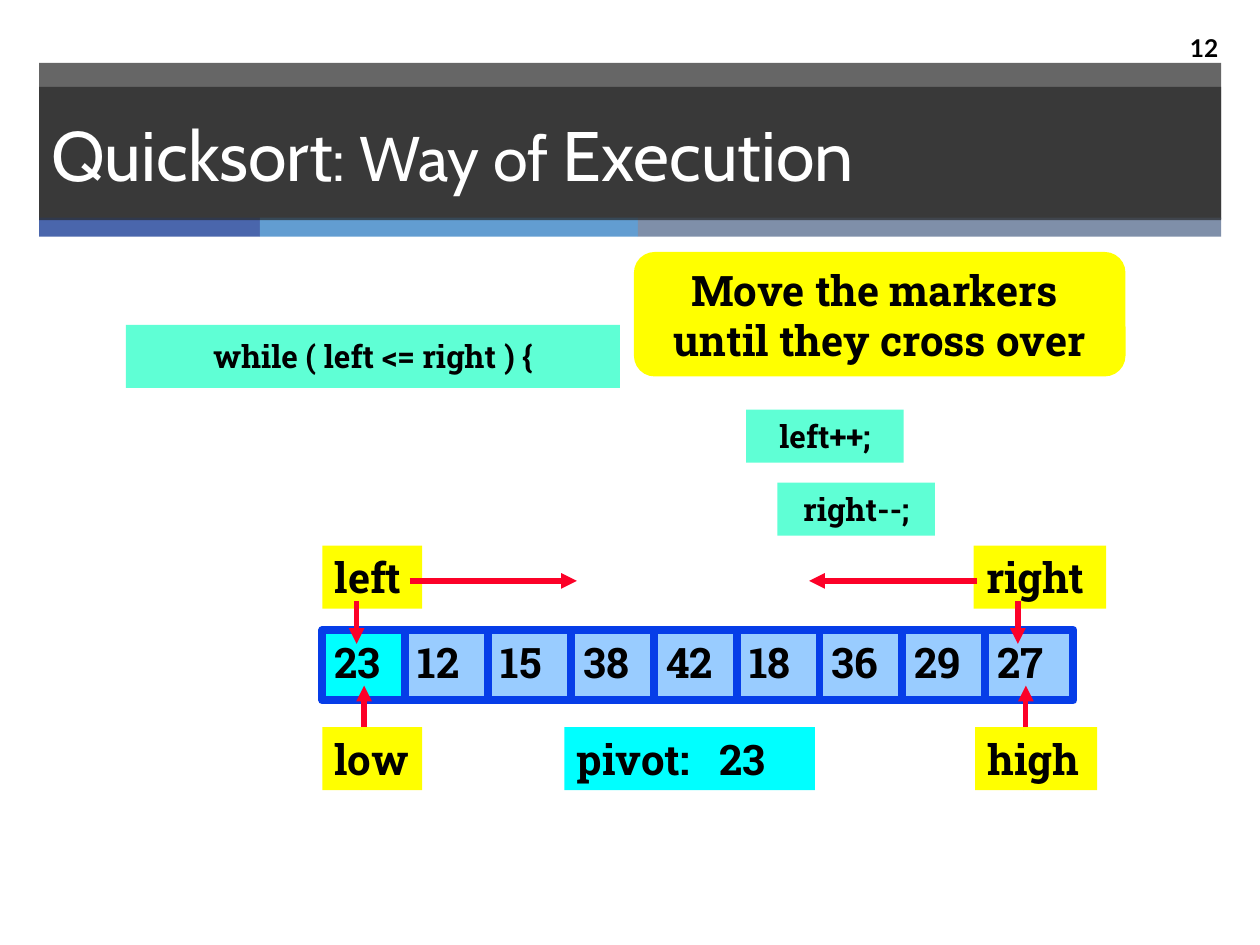
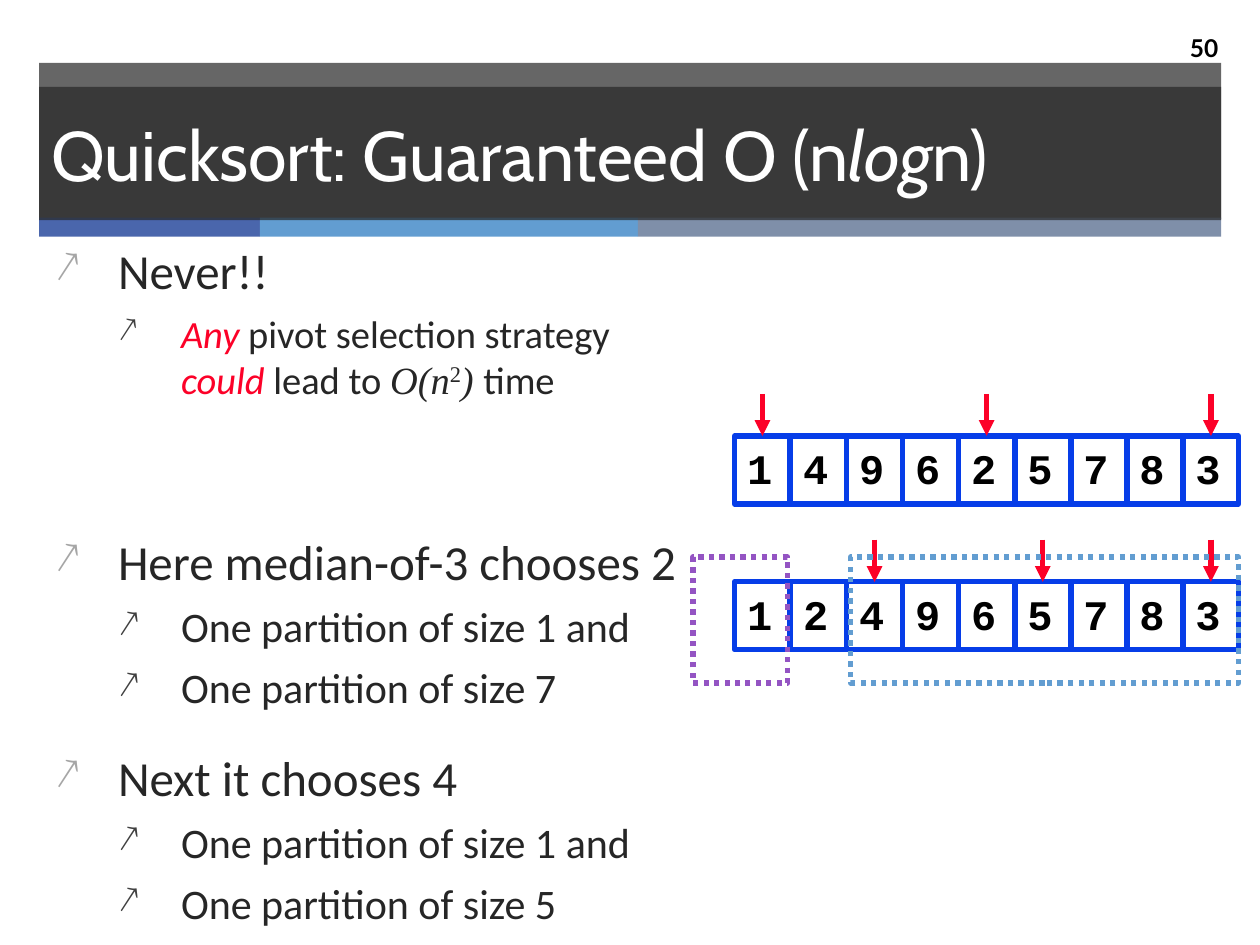
import pptx
import pptx.dml.color
import pptx.enum.dml
import pptx.enum.shapes
import pptx.enum.text
import pptx.oxml
import pptx.oxml.ns
import pptx.util

Cm = pptx.util.Cm
Pt = pptx.util.Pt
SHAPE = pptx.enum.shapes.MSO_SHAPE
ALIGN = pptx.enum.text.PP_ALIGN
ANCHOR = pptx.enum.text.MSO_ANCHOR

COLORS = {
    "white": "FFFFFF", "black": "000000", "band": "262626",
    "royal": "4A66AC", "sky": "629DD1", "slate": "7F8FA9",
    "code": "5FFFD5", "label": "FFFF00", "pivot": "00FFFF", "cell": "99CCFF",
    "border": "063DE8", "red": "FC0128", "purple": "9454C3",
    "bullet": "A6A6A6", "sub_bullet": "404040",
}
SLAB, TIMES = "Roboto Slab", "Times New Roman"


def rgb(color):
    """Return the named colour as an RGB value."""
    return pptx.dml.color.RGBColor.from_string(COLORS[color])


def add_xml(parent, tag, **attributes):
    """Append a drawing element with the given attributes to parent."""
    child = pptx.oxml.parse_xml(f"<a:{tag} {pptx.oxml.ns.nsdecls('a')}/>")
    for key, value in attributes.items():
        child.set(key, str(value))
    parent.append(child)
    return child


def style_font(font, name=None, size=None, color=None, bold=None, italic=None):
    """Set those font properties that are given."""
    if name:
        font.name = name
    if size:
        font.size = Pt(size)
    if color:
        font.color.rgb = rgb(color)
    if bold is not None:
        font.bold = bold
    if italic is not None:
        font.italic = italic


def add_spans(para, spans):
    """Add (text, overrides) spans to a paragraph; a None text breaks the line."""
    for text, overrides in spans:
        if text is None:
            para.add_line_break()
            continue
        span = para.add_run()
        span.text = text
        changes = dict(overrides)
        baseline = changes.pop("baseline", None)
        style_font(span.font, **changes)
        if baseline:
            span.font._element.set("baseline", str(baseline))


def add_box(page, place, fill=None, line=None, width=3, shape=SHAPE.RECTANGLE, opacity=None):
    """Add a flat shape at place (left, top, width, height in cm)."""
    box = page.shapes.add_shape(shape, *map(Cm, place))
    box.shadow.inherit = False
    if fill:
        box.fill.solid()
        box.fill.fore_color.rgb = rgb(fill)
    else:
        box.fill.background()
    if opacity:
        color = box._element.spPr.find(".//" + pptx.oxml.ns.qn("a:srgbClr"))
        add_xml(color, "alpha", val=opacity * 1000)
    if line:
        box.line.color.rgb = rgb(line)
        box.line.width = Pt(width)
    else:
        box.line.fill.background()
    return box


def write(box, lines, font=SLAB, size=24, align=ALIGN.LEFT, anchor=ANCHOR.TOP, grow=True):
    """Write bold black lines into a box without wrapping."""
    frame = box.text_frame
    frame.word_wrap = False
    frame.vertical_anchor = anchor
    if grow:
        frame.auto_size = pptx.enum.text.MSO_AUTO_SIZE.SHAPE_TO_FIT_TEXT
    for index, text in enumerate(lines):
        para = frame.add_paragraph() if index else frame.paragraphs[0]
        para.alignment = align
        add_spans(para, [(text, {})])
        style_font(para.font, font, size, "black", True)


def add_code(page, place, text):
    """Add a line of code on a green block."""
    write(add_box(page, place, "code"), [text], size=18, align=ALIGN.CENTER,
          anchor=ANCHOR.MIDDLE, grow=False)


def add_label(page, left, top, width, text, fill="label"):
    """Add a coloured label for a marker or value."""
    box = add_box(page, (left, top, width, 1.27), fill)
    write(box, [text])
    return box


def add_cells(page, left, top, pitch, size, values, fills, line_width, font):
    """Add a row of array cells and return them."""
    cells = []
    for index, (value, fill) in enumerate(zip(values, fills)):
        cell = add_box(page, (left + index * pitch, top, *size), fill, "border", line_width)
        write(cell, [str(value)], font)
        cells.append(cell)
    return cells


def add_arrow(page, start, end):
    """Add a red arrow between two points given as lengths."""
    arrow = page.shapes.add_connector(pptx.enum.shapes.MSO_CONNECTOR.STRAIGHT, *start, *end)
    arrow.line.color.rgb = rgb("red")
    arrow.line.width = Pt(3)
    add_xml(arrow.line._get_or_add_ln(), "tailEnd", type="triangle")
    add_xml(arrow._element.spPr, "effectLst")
    return arrow


def point_at(page, cell):
    """Add an arrow that drops onto the top of a cell."""
    middle = cell.left + cell.width // 2
    arrow = add_arrow(page, (middle, cell.top - Cm(0.85)), (middle, cell.top))
    arrow.end_connect(cell, 0)


def add_page(deck, number, title_spans):
    """Add a page with its bands, number and title."""
    page = deck.slides.add_slide(deck.slide_layouts[6])
    add_box(page, (0.79, 1.27, 23.83, 3.15), "band", opacity=70)
    left = 0.79
    for width, color in ((4.45, "royal"), (7.62, "sky"), (11.76, "slate")):
        add_box(page, (left, 4.39, width, 0.38), color)
        left += width

    number_box = page.shapes.add_textbox(Cm(23.06), Cm(0.46), Cm(1.75), Cm(0.99))
    number_box.text_frame.word_wrap = True
    number_box.text_frame.vertical_anchor = ANCHOR.MIDDLE
    para = number_box.text_frame.paragraphs[0]
    para.alignment = ALIGN.RIGHT
    add_spans(para, [(str(number), {})])
    style_font(para.font, "Lato", 14, "black", True)

    title = add_box(page, (0.79, 1.75, 23.83, 2.69), "band", opacity=70)
    para = title.text_frame.paragraphs[0]
    para.alignment = ALIGN.LEFT
    add_spans(para, title_spans)
    style_font(para.font, "Cabin", 40, "white")
    return page


def add_bullets(page, place, items):
    """Add a bulleted list from (level, space before, size, spans) items."""
    frame = page.shapes.add_textbox(*map(Cm, place)).text_frame
    frame.word_wrap = True
    for index, (level, space, size, spans) in enumerate(items):
        para = frame.add_paragraph() if index else frame.paragraphs[0]
        para.level = level
        para.space_before = Pt(space)
        properties = para._p.get_or_add_pPr()
        properties.set("marL", str(Cm(1.27 * (level + 1))))
        properties.set("indent", str(Cm(-1.27)))
        color = COLORS["sub_bullet" if level else "bullet"]
        add_xml(add_xml(properties, "buClr"), "srgbClr", val=color)
        add_xml(properties, "buSzPct", val=90000)
        add_xml(properties, "buChar", char="↗")
        add_spans(para, spans)
        style_font(para.font, "Calibri", size, "band")


def build_execution(deck):
    """Build the page on the way of execution."""
    page = add_page(deck, 12, [("Quicksort", {}), (": Way of ", {"size": 36}), ("Execution", {})])
    add_code(page, (15.67, 9.73, 3.18, 1.07), "right--;")
    add_code(page, (15.04, 8.26, 3.18, 1.07), "left++;")
    add_code(page, (2.54, 6.55, 9.96, 1.27), "while ( left <= right ) {")
    callout = add_box(page, (12.78, 5.08, 9.91, 2.51), "label", shape=SHAPE.ROUNDED_RECTANGLE)
    write(callout, ["Move the markers ", "until they cross over"], align=ALIGN.CENTER)

    values = [23, 12, 15, 38, 42, 18, 36, 29, 27]
    fills = ["pivot"] + ["cell"] * (len(values) - 1)
    add_cells(page, 6.5, 12.7, 1.67, (1.78, 1.42), values, fills, 4.5, SLAB)

    for text, left, width, x in (("low", 6.5, 2.01, 7.34), ("high", 19.66, 2.46, 20.68)):
        add_arrow(page, (Cm(x), Cm(15.93)), (Cm(x), Cm(13.82)))
        add_label(page, left, 14.66, width, text)
    pivot = add_label(page, 11.38, 14.66, 5.05, "pivot:\t23", "pivot")
    tabs = pptx.oxml.parse_xml(f"<a:tabLst {pptx.oxml.ns.nsdecls('a')}/>")
    add_xml(tabs, "tab", pos=Cm(2.88), algn="l")
    pivot.text_frame.paragraphs[0]._p.get_or_add_pPr().insert(0, tabs)

    markers = (("left", 6.5, 2.01, 7.19, 8.26, 11.63), ("right", 19.63, 2.67, 20.52, 19.69, 16.31))
    for text, left, width, x, start, end in markers:
        add_label(page, left, 11, width, text)
        add_arrow(page, (Cm(x), Cm(12.12)), (Cm(x), Cm(12.98)))
        add_arrow(page, (Cm(start), Cm(11.71)), (Cm(end), Cm(11.71)))


def build_guarantee(deck):
    """Build the page on the guaranteed running time."""
    page = add_page(deck, 50, [("Quicksort: Guaranteed O (n", {}), ("log", {"italic": True}),
                               ("n)", {})])
    stress = {"color": "red", "italic": True}
    formula = {"name": TIMES, "italic": True}
    strategy = [
        ("Any", stress), (" pivot selection strategy ", {}), (None, {}),
        ("could ", stress), ("lead to ", {}), ("O(n", formula),
        ("2", {"name": TIMES, "baseline": 30000}), (") ", formula), ("time", {}),
    ]
    items = [(0, 20, 28, [("Never!!", {})]), (1, 6, 22, strategy)]
    for space, choice, rest in ((74, "Here median-of-3 chooses 2", 7), (20, "Next it chooses 4", 5)):
        items.append((0, space, 28, [(choice, {})]))
        for ending in ("1 and", rest):
            items.append((1, 6, 24, [(f"One partition of size {ending}", {})]))
    add_bullets(page, (0.86, 4.72, 13.2, 13.23), items)

    rows = ((8.79, "149625783", (0, 4, 8)), (11.73, "124965783", (2, 5, 8)))
    for top, values, candidates in rows:
        cells = add_cells(page, 14.81, top, 1.13, (1.12, 1.37), values, [None] * len(values),
                          3, "Courier New")
        for index in candidates:
            point_at(page, cells[index])

    for left, width, color in ((13.97, 1.91, "purple"), (17.15, 7.82, "sky")):
        partition = add_box(page, (left, 11.23, width, 2.54), line=color)
        partition.line.dash_style = pptx.enum.dml.MSO_LINE.ROUND_DOT


def main():
    """Build and save the deck."""
    deck = pptx.Presentation()
    deck.slide_width, deck.slide_height = Cm(25.4), Cm(19.05)
    build_execution(deck)
    build_guarantee(deck)
    deck.save("out.pptx")


if __name__ == "__main__":
    main()
